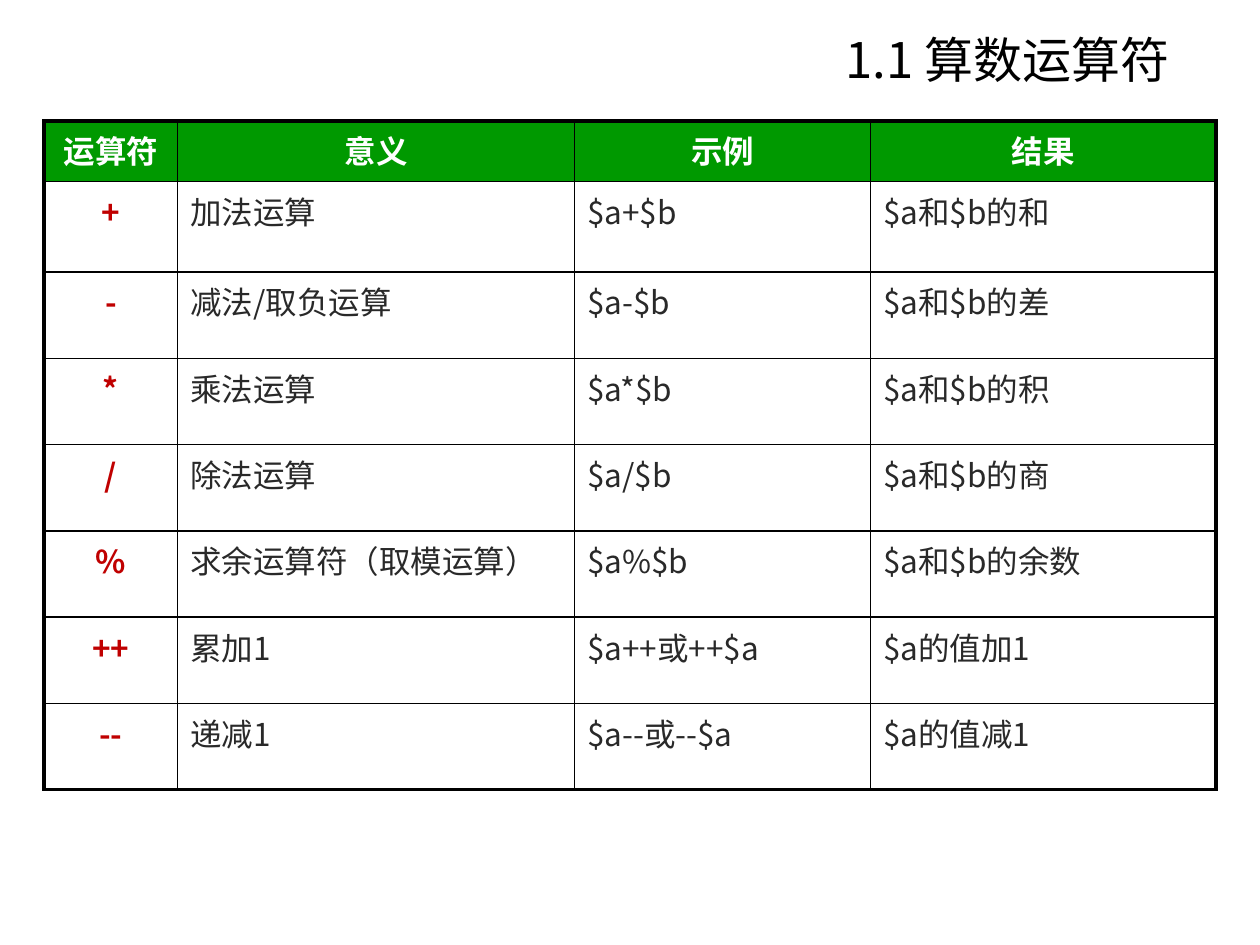
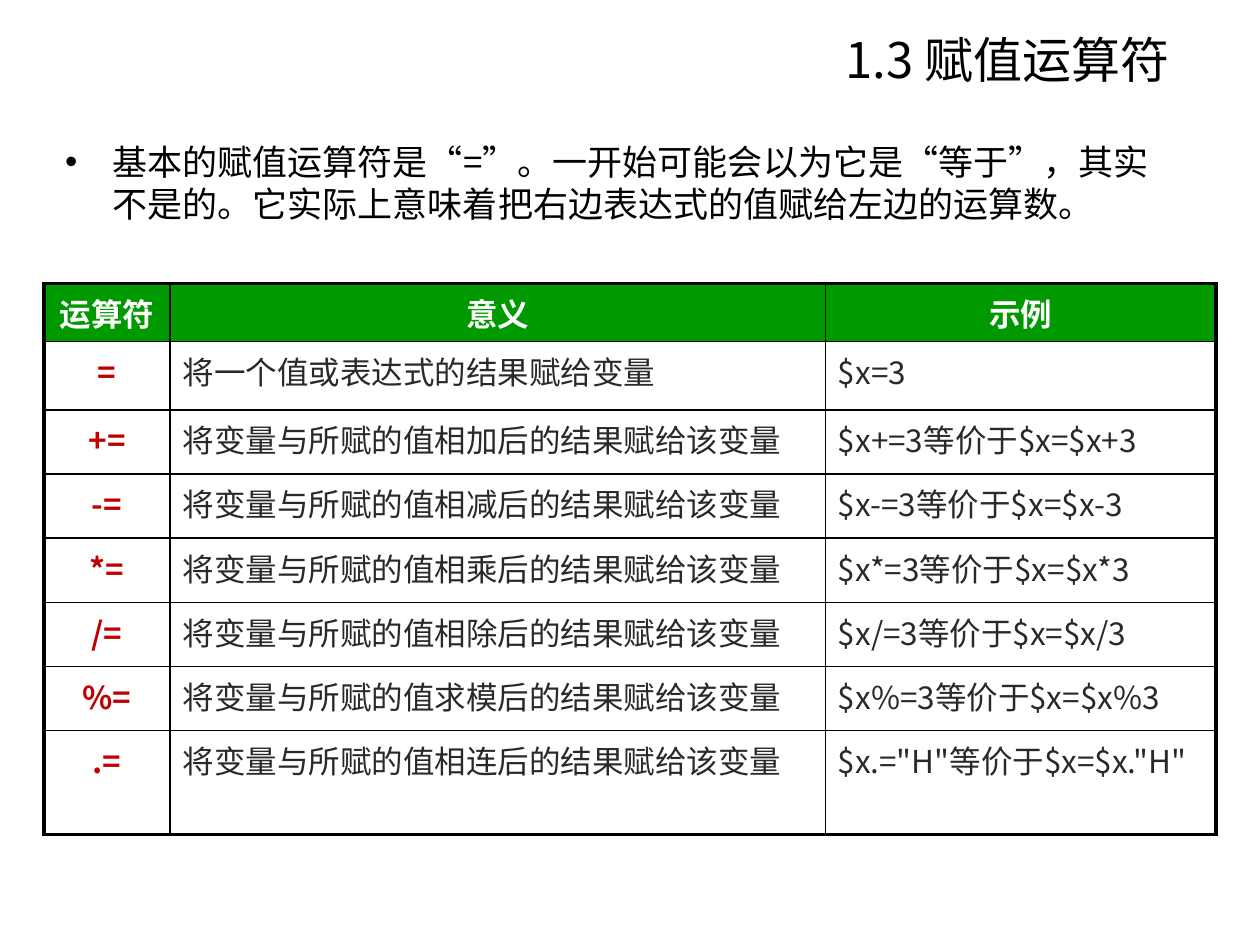
"""Build two slides on arithmetic and assignment operators."""
from lxml import etree
from pptx import Presentation
from pptx.dml.color import RGBColor
from pptx.enum.text import MSO_ANCHOR, PP_ALIGN
from pptx.oxml.ns import qn
from pptx.util import Pt

CENTER, LEFT, RIGHT = PP_ALIGN.CENTER, PP_ALIGN.LEFT, PP_ALIGN.RIGHT
MIDDLE = MSO_ANCHOR.MIDDLE
BLACK = RGBColor(0x00, 0x00, 0x00)
WHITE = RGBColor(0xFF, 0xFF, 0xFF)
GREEN = RGBColor(0x00, 0x99, 0x00)
RED = RGBColor(0xC0, 0x00, 0x00)
GRAY = RGBColor(0x29, 0x29, 0x29)
FONT = "Noto Sans CJK SC"
TITLE_BOX = (163.4, 11.5, 511.9, 44.6)
NOTE_BOX = (30.2, 77, 653, 95.8)
TABLE_LEFT = 25.2
OUTER, INNER = 2.25, 1

ARITHMETIC = [
    ("运算符", "意义", "示例", "结果"),
    ("+", "加法运算", "$a+$b", "$a和$b的和"),
    ("-", "减法/取负运算", "$a-$b", "$a和$b的差"),
    ("*", "乘法运算", "$a*$b", "$a和$b的积"),
    ("/", "除法运算", "$a/$b", "$a和$b的商"),
    ("%", "求余运算符（取模运算）", "$a%$b", "$a和$b的余数"),
    ("++", "累加1", "$a++或++$a", "$a的值加1"),
    ("--", "递减1", "$a--或--$a", "$a的值减1"),
]
COMPOUND = [("+", "相加"), ("-", "相减"), ("*", "相乘"), ("/", "相除"),
            ("%", "求模"), (".", "相连")]
ASSIGNMENT = [
    ("运算符", "意义", "示例"),
    ("=", "将一个值或表达式的结果赋给变量", "$x=3"),
]
for sign, action in COMPOUND:
    value = '"H"' if sign == "." else "3"
    ASSIGNMENT.append((f"{sign}=", f"将变量与所赋的值{action}后的结果赋给该变量",
                       f"$x{sign}={value}等价于$x=$x{sign}{value}"))

SLIDES = [
    {"title": "1.1 算数运算符", "rows": ARITHMETIC, "top": 69.1,
     "widths": (76.3, 226.8, 169.2, 197.3), "heights": (34.6, 51.8, 49.3)},
    {"title": "1.3 赋值运算符", "rows": ASSIGNMENT, "top": 162,
     "widths": (72, 374.4, 223.2), "heights": (28.8, 38.9, 36.7),
     "note": "基本的赋值运算符是“=”。一开始可能会以为它是“等于”，其实不是的。"
             "它实际上意味着把右边表达式的值赋给左边的运算数。"},
]


def add_text(tf, text, size, color, align, bold=False):
    p = tf.paragraphs[0]
    p.alignment = align
    r = p.add_run()
    r.text = text
    r.font.name, r.font.size, r.font.bold = FONT, Pt(size), bold
    r.font.color.rgb = color
    etree.SubElement(r.font._element, qn("a:ea"), typeface=FONT)
    return p


def add_title(s, text):
    sp = s.shapes.title
    sp.left, sp.top, sp.width, sp.height = map(Pt, TITLE_BOX)
    sp.text_frame.vertical_anchor = MIDDLE
    add_text(sp.text_frame, text, 28, BLACK, RIGHT)


def add_note(s, text):
    tf = s.shapes.add_textbox(*map(Pt, NOTE_BOX)).text_frame
    tf.word_wrap = True
    p = add_text(tf, text, 20, BLACK, LEFT)
    p.line_spacing, p.space_before = 1.0, Pt(4)
    pPr = p._p.get_or_add_pPr()
    pPr.set("marL", str(Pt(27)))
    pPr.set("indent", str(-Pt(27)))
    etree.SubElement(pPr, qn("a:buFont"), typeface="Arial")
    etree.SubElement(pPr, qn("a:buChar"), char="•")


def set_borders(cell, outer_sides):
    tcPr = cell._tc.get_or_add_tcPr()
    for side, is_outer in zip("LRTB", outer_sides):
        ln = etree.SubElement(tcPr, qn(f"a:ln{side}"),
                              w=str(Pt(OUTER if is_outer else INNER)))
        fill = etree.SubElement(ln, qn("a:solidFill"))
        etree.SubElement(fill, qn("a:srgbClr"), val=str(BLACK))


def add_operator_table(s, rows, top, widths, heights):
    header, first, other = heights
    row_heights = [header, first] + [other] * (len(rows) - 2)
    frame = s.shapes.add_table(len(rows), len(widths), Pt(TABLE_LEFT), Pt(top),
                               Pt(sum(widths)), Pt(sum(row_heights)))
    table = frame.table
    table.first_row = table.horz_banding = False
    for column, width in zip(table.columns, widths):
        column.width = Pt(width)
    for i, (row, height) in enumerate(zip(rows, row_heights)):
        table.rows[i].height = Pt(height)
        for j, text in enumerate(row):
            cell = table.cell(i, j)
            set_borders(cell, (j == 0, j == len(row) - 1,
                               i == 0, i == len(rows) - 1))
            if i == 0:
                cell.fill.solid()
                cell.fill.fore_color.rgb = GREEN
            else:
                cell.fill.background()
            strong = i == 0 or j == 0
            color = WHITE if i == 0 else RED if j == 0 else GRAY
            add_text(cell.text_frame, text, 18, color,
                     CENTER if strong else LEFT, strong)


def main():
    prs = Presentation()
    prs.slide_width, prs.slide_height = Pt(720), Pt(540)
    for content in SLIDES:
        s = prs.slides.add_slide(prs.slide_layouts[5])
        add_title(s, content["title"])
        add_operator_table(s, content["rows"], content["top"],
                           content["widths"], content["heights"])
        if "note" in content:
            add_note(s, content["note"])
    prs.save("out.pptx")


if __name__ == "__main__":
    main()
